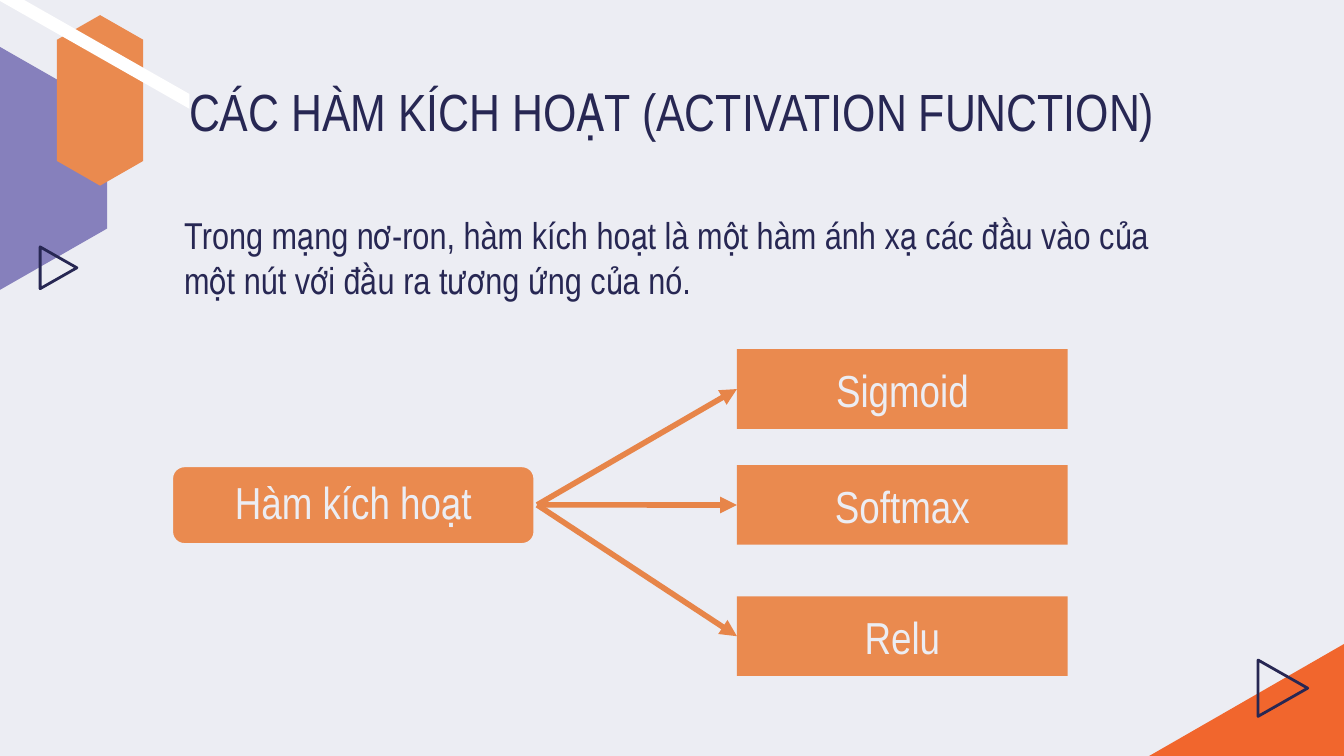
"""Build the slide about activation functions in neural networks."""
from dataclasses import dataclass
from typing import Optional

from lxml.etree import SubElement
from pptx import Presentation
from pptx.dml.color import RGBColor
from pptx.enum.shapes import MSO_CONNECTOR, MSO_SHAPE
from pptx.enum.text import MSO_ANCHOR, PP_ALIGN
from pptx.oxml.ns import qn
from pptx.util import Pt

MIST = RGBColor(0xEC, 0xED, 0xF3)
NAVY = RGBColor(0x27, 0x27, 0x53)
PURPLE = RGBColor(0x86, 0x80, 0xBC)
ORANGE = RGBColor(0xEA, 0x8A, 0x4F)
ARROW_ORANGE = RGBColor(0xE7, 0x85, 0x49)
VIVID_ORANGE = RGBColor(0xF1, 0x66, 0x2D)
WHITE = RGBColor(0xFF, 0xFF, 0xFF)
FONT = "Arial Narrow"


@dataclass(frozen=True)
class Box:
    left: float
    top: float
    width: float
    height: float

    def emu(self):
        return Pt(self.left), Pt(self.top), Pt(self.width), Pt(self.height)


@dataclass(frozen=True)
class Hexagon:
    box: Box
    color: RGBColor


@dataclass(frozen=True)
class Outline:
    points: tuple
    fill: Optional[RGBColor] = None


@dataclass(frozen=True)
class Function:
    name: str
    top: float


def paint(shape, fill: Optional[RGBColor], line: Optional[RGBColor] = None, width: float = 1.5) -> None:
    shape.shadow.inherit = False
    if fill is None:
        shape.fill.background()
    else:
        shape.fill.solid()
        shape.fill.fore_color.rgb = fill
    if line is None:
        shape.line.fill.background()
    else:
        shape.line.color.rgb = line
        shape.line.width = Pt(width)


def draw_hexagon(slide, hexagon: Hexagon) -> None:
    shape = slide.shapes.add_shape(MSO_SHAPE.HEXAGON, *hexagon.box.emu())
    shape.adjustments[0] = 0.286
    shape.rotation = 90
    paint(shape, hexagon.color)


def draw_outline(slide, outline: Outline) -> None:
    start, *others = [(Pt(x), Pt(y)) for x, y in outline.points]
    builder = slide.shapes.build_freeform(*start)
    builder.add_line_segments(others, close=True)
    paint(builder.convert_to_shape(), outline.fill, None if outline.fill else NAVY)


def write(shape, text: str, size: float, color: RGBColor, align=PP_ALIGN.CENTER,
          anchor=MSO_ANCHOR.TOP, inset: float = 7.2, spacing: float = 1.0) -> None:
    frame = shape.text_frame
    frame.word_wrap = True
    frame.vertical_anchor = anchor
    frame.margin_left = frame.margin_right = Pt(7.2)
    frame.margin_top = frame.margin_bottom = Pt(inset)
    paragraph = frame.paragraphs[0]
    paragraph.alignment = align
    paragraph.line_spacing = spacing
    run = paragraph.add_run()
    run.text = text
    run.font.name = FONT
    run.font.size = Pt(size)
    run.font.color.rgb = color


def draw_arrow(slide, start: tuple, end: tuple) -> None:
    arrow = slide.shapes.add_connector(MSO_CONNECTOR.STRAIGHT, *map(Pt, start + end))
    arrow.line.color.rgb = ARROW_ORANGE
    arrow.line.width = Pt(3)
    properties = arrow._element.spPr
    SubElement(properties.find(qn("a:ln")), qn("a:tailEnd"), type="triangle")
    SubElement(properties, qn("a:effectLst"))


HEXAGONS = (
    Hexagon(Box(-65.3, 32.7, 130.3, 115), PURPLE),
    Hexagon(Box(7.9, 30.7, 91.4, 46.2), ORANGE),
)
OUTLINES = (
    Outline(((21.5, 132.3), (41.2, 143.5), (21.5, 154.7))),
    Outline(((101.5, 50.4), (-38.9, -29.5), (-38.9, -21.6), (101.5, 58.3)), WHITE),
    Outline(((720, 405), (720, 345), (615.6, 405)), VIVID_ORANGE),
    Outline(((674, 353.6), (674, 383.8), (700.6, 368.7))),
)
FUNCTIONS = (Function("Sigmoid", 187.1), Function("Softmax", 249.2), Function("Relu", 319.5))
FUNCTION_LEFT, FUNCTION_WIDTH, FUNCTION_HEIGHT = 394.8, 177.2, 42.7
ARROW_START = (287.8, 270.5)

deck = Presentation()
deck.slide_width, deck.slide_height = Pt(720), Pt(405)
slide = deck.slides.add_slide(deck.slide_layouts[6])
slide.background.fill.solid()
slide.background.fill.fore_color.rgb = MIST

purple_hexagon, orange_hexagon = HEXAGONS
draw_hexagon(slide, purple_hexagon)
draw_outline(slide, OUTLINES[0])
draw_hexagon(slide, orange_hexagon)
for outline in OUTLINES[1:]:
    draw_outline(slide, outline)

for function in FUNCTIONS:
    box = Box(FUNCTION_LEFT, function.top, FUNCTION_WIDTH, FUNCTION_HEIGHT)
    function_box = slide.shapes.add_shape(MSO_SHAPE.RECTANGLE, *box.emu())
    paint(function_box, ORANGE)
    write(function_box, function.name, 24, MIST)

title = slide.shapes.add_textbox(*Box(91.6, 35.3, 536.4, 45.4).emu())
write(title, "CÁC HÀM KÍCH HOẠT (ACTIVATION FUNCTION)", 28, NAVY)
definition = slide.shapes.add_textbox(*Box(91.6, 110.2, 536.4, 55.4).emu())
write(definition, "Trong mạng nơ-ron, hàm kích hoạt là một hàm ánh xạ các đầu vào của "
      "một nút với đầu ra tương ứng của nó.", 20, NAVY, PP_ALIGN.LEFT, inset=3.6)

activation = slide.shapes.add_shape(MSO_SHAPE.ROUNDED_RECTANGLE, *Box(91.7, 249.3, 195.1, 42.7).emu())
paint(activation, ORANGE, MIST, 2)
write(activation, "Hàm kích hoạt", 24, MIST, anchor=MSO_ANCHOR.MIDDLE, spacing=0.9)

for function in FUNCTIONS:
    draw_arrow(slide, ARROW_START, (FUNCTION_LEFT, function.top + FUNCTION_HEIGHT / 2))

deck.save("out.pptx")
